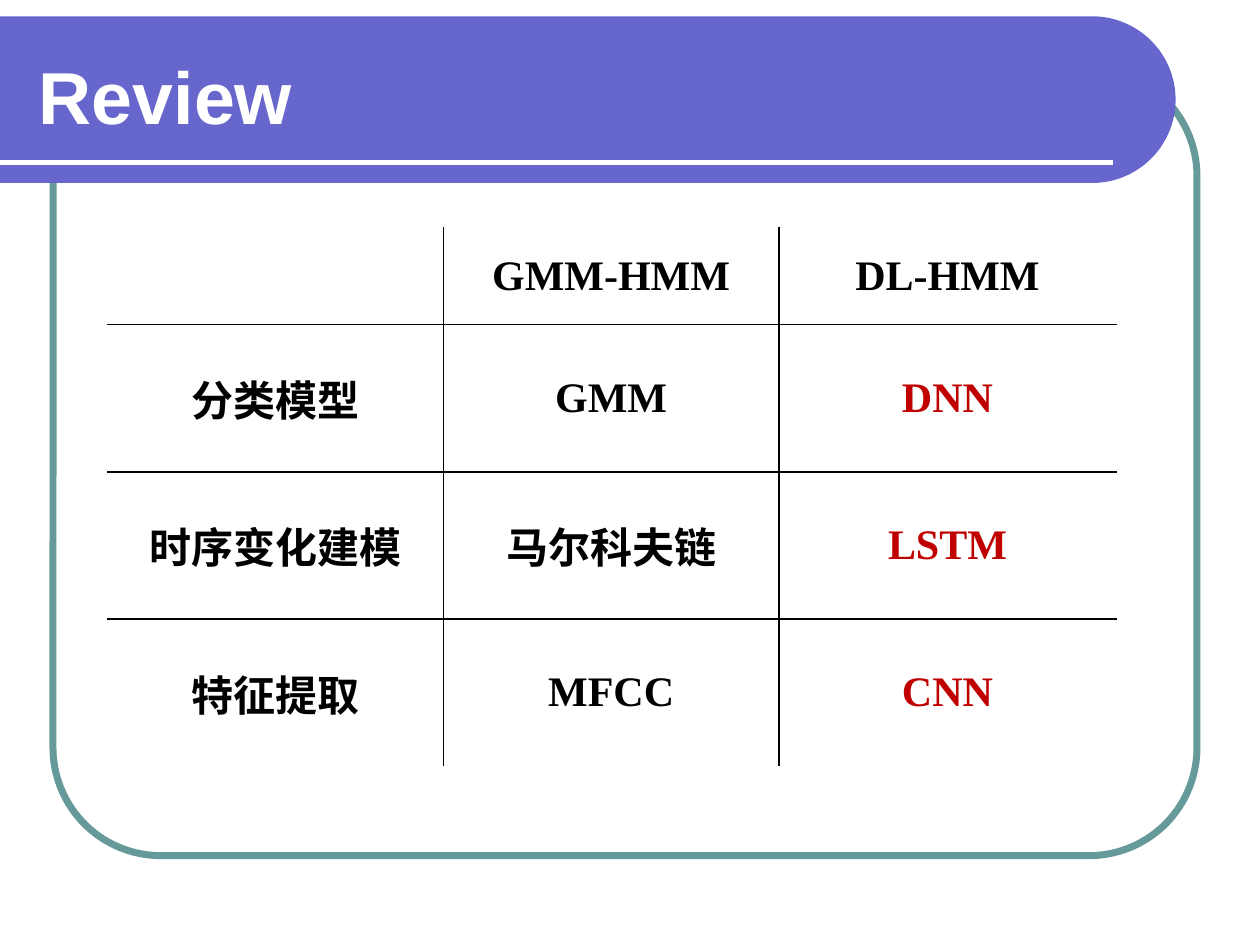
from math import cos, pi, sin

from lxml import etree
from pptx import Presentation
from pptx.dml.color import RGBColor
from pptx.enum.shapes import MSO_CONNECTOR, MSO_SHAPE
from pptx.enum.text import MSO_ANCHOR, PP_ALIGN
from pptx.oxml.ns import qn
from pptx.util import Cm, Pt

MIDDLE = MSO_ANCHOR.MIDDLE
LEFT, CENTER = PP_ALIGN.LEFT, PP_ALIGN.CENTER

# Content
TITLE = "Review"
ROWS = [
    ("", "GMM-HMM", "DL-HMM"),
    ("分类模型", "GMM", "DNN"),
    ("时序变化建模", "马尔科夫链", "LSTM"),
    ("特征提取", "MFCC", "CNN"),
]
COLORS = {"banner": "6666CC", "frame": "669999", "white": "FFFFFF",
          "black": "000000", "red": "C00000"}

# Layout in centimetres
FRAME = (1.07, 1.37, 23.06, 15.88)
TITLE_BOX = (0.53, 0.64, 22.28, 2.54)
BANNER_TOP, BANNER_RADIUS, BANNER_STRAIGHT = 0.33, 1.68, 22.02
RULE_Y, RULE_END = 3.28, 22.43
TABLE_LEFT, TABLE_TOP = 2.18, 4.6
COL_WIDTHS = (6.76, 6.76, 6.8)
ROW_HEIGHTS = (1.94, 2.97, 2.97, 2.97)


def rgb(name):
    return RGBColor.from_string(COLORS[name])


def write(tf, text, align, **font):
    tf.vertical_anchor = MIDDLE
    p = tf.paragraphs[0]
    p.alignment = align
    if text:
        r = p.add_run()
        r.text = text
        r.font.color.rgb = rgb(font.pop("color"))
        for key, value in font.items():
            setattr(r.font, key, value)


def set_border(cell, side, color):
    ln = etree.SubElement(cell._tc.get_or_add_tcPr(), qn(f"a:ln{side}"), w=str(Pt(1)))
    fill = etree.SubElement(ln, qn("a:solidFill"))
    etree.SubElement(fill, qn("a:srgbClr"), val=COLORS[color])


prs = Presentation()
prs.slide_width, prs.slide_height = Cm(25.4), Cm(19.05)
s = prs.slides.add_slide(prs.slide_layouts[5])

# Rounded frame
frame = s.shapes.add_shape(MSO_SHAPE.ROUNDED_RECTANGLE, *map(Cm, FRAME))
frame.adjustments[0] = 0.137
frame.shadow.inherit = False
frame.fill.background()
frame.line.color.rgb = rgb("frame")
frame.line.width = Pt(4)

# Banner with a half-round right end
STEPS = 60
angles = [-pi / 2 + pi * i / STEPS for i in range(STEPS + 1)]
arc = [(Cm(BANNER_STRAIGHT + BANNER_RADIUS * cos(a)),
        Cm(BANNER_TOP + BANNER_RADIUS * (1 + sin(a)))) for a in angles]
builder = s.shapes.build_freeform(0, Cm(BANNER_TOP))
builder.add_line_segments(arc + [(0, Cm(BANNER_TOP + 2 * BANNER_RADIUS))], close=True)
banner = builder.convert_to_shape()
banner.shadow.inherit = False
banner.fill.solid()
banner.fill.fore_color.rgb = rgb("banner")
banner.line.fill.background()

# Rule under the title
rule = s.shapes.add_connector(MSO_CONNECTOR.STRAIGHT, 0, Cm(RULE_Y), Cm(RULE_END), Cm(RULE_Y))
rule.line.color.rgb = rgb("white")
rule.line.width = Pt(3)
etree.SubElement(rule._element.spPr, qn("a:effectLst"))

# Title, brought in front of the banner
title = s.shapes.title
title.left, title.top, title.width, title.height = map(Cm, TITLE_BOX)
write(title.text_frame, TITLE, LEFT, name="Arial", size=Pt(42), bold=True, color="white")
title._element.getparent().append(title._element)

# Table: black inner lines, white outer edges
n_rows, n_cols = len(ROWS), len(COL_WIDTHS)
table = s.shapes.add_table(n_rows, n_cols, Cm(TABLE_LEFT), Cm(TABLE_TOP),
                           Cm(sum(COL_WIDTHS)), Cm(sum(ROW_HEIGHTS))).table
table.first_row = table.horz_banding = False
for col, width in zip(table.columns, COL_WIDTHS):
    col.width = Cm(width)
for row, height in zip(table.rows, ROW_HEIGHTS):
    row.height = Cm(height)

for i, texts in enumerate(ROWS):
    for j, text in enumerate(texts):
        cell = table.cell(i, j)
        outer = {"L": j == 0, "R": j == n_cols - 1, "T": i == 0, "B": i == n_rows - 1}
        for side, is_outer in outer.items():
            set_border(cell, side, "white" if is_outer else "black")
        cell.fill.background()
        cell.vertical_anchor = MIDDLE
        color = "red" if i > 0 and j == n_cols - 1 else "black"
        write(cell.text_frame, text, CENTER, name="Times New Roman",
              size=Pt(24), bold=True, color=color)

prs.save("out.pptx")
